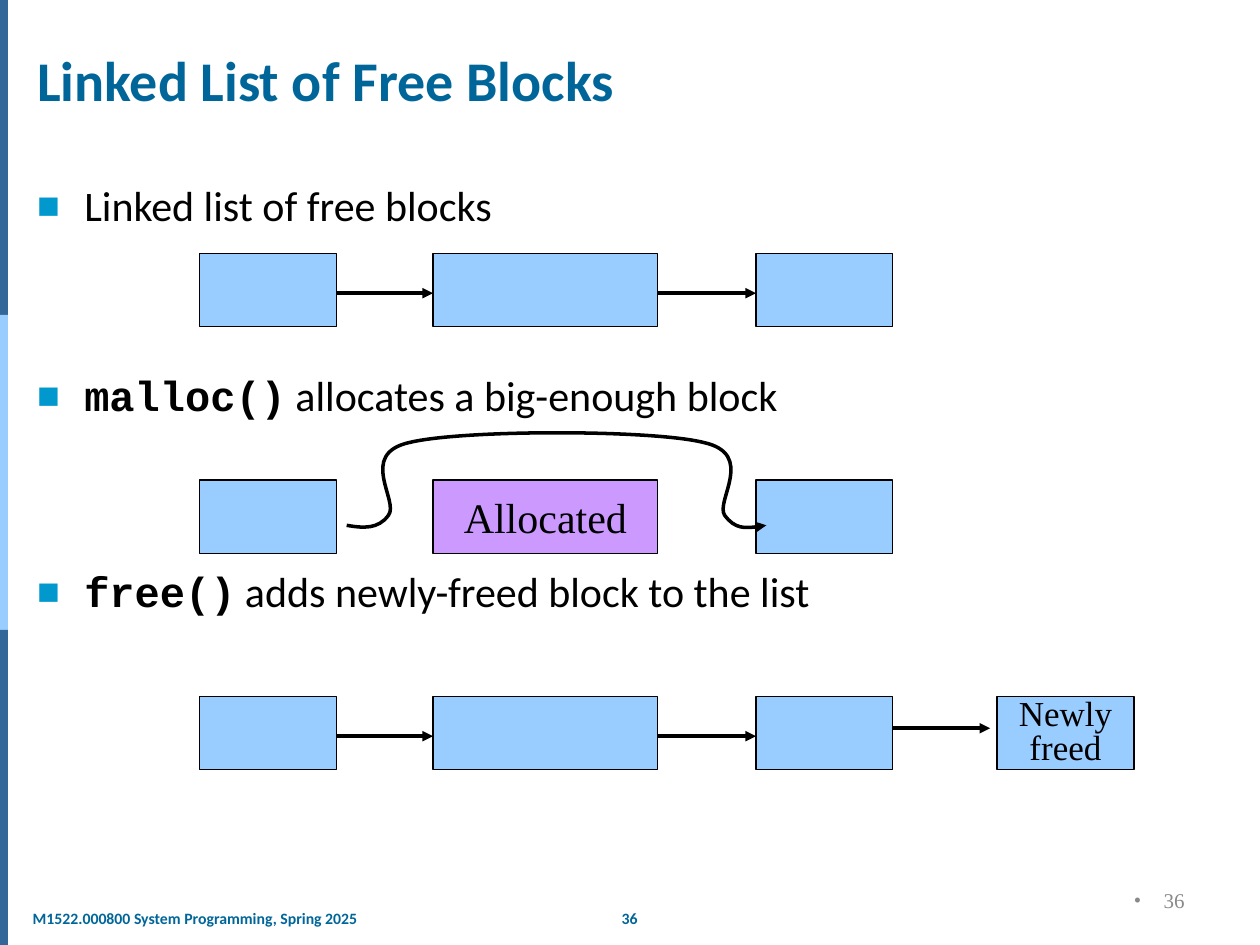
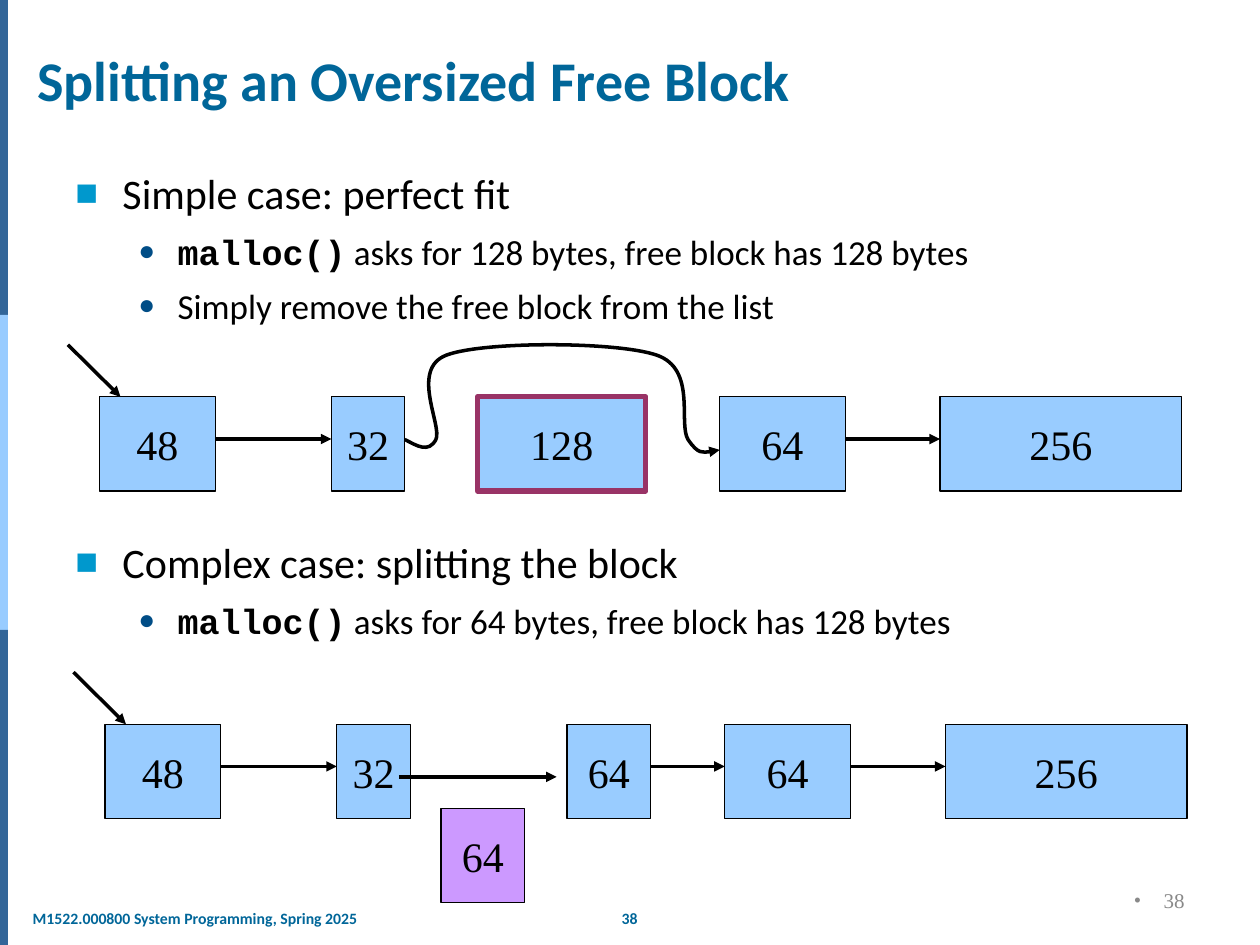
from dataclasses import dataclass

from lxml import etree
from pptx import Presentation
from pptx.dml.color import RGBColor
from pptx.enum.shapes import MSO_CONNECTOR, MSO_SHAPE
from pptx.enum.text import MSO_ANCHOR, PP_ALIGN
from pptx.oxml.ns import qn
from pptx.util import Cm, Pt

RECTANGLE = MSO_SHAPE.RECTANGLE
STRAIGHT = MSO_CONNECTOR.STRAIGHT
LEFT, CENTER, RIGHT = PP_ALIGN.LEFT, PP_ALIGN.CENTER, PP_ALIGN.RIGHT
TOP, MIDDLE, BOTTOM = MSO_ANCHOR.TOP, MSO_ANCHOR.MIDDLE, MSO_ANCHOR.BOTTOM

SANS, MONO, SERIF = "Calibri", "Courier New", "Times New Roman"
BLACK, TEAL, GRAY = "000000", "006699", "898989"
FREE, ALLOCATED, REMOVED = "99CCFF", "CC99FF", "993366"
BAND_COLORS = ("336699", FREE, "336699")
BAND_HEIGHT = 6.35
COURSE = "M1522.000800 System Programming, Spring 2025"


@dataclass
class BulletLevel:
    size: int
    margin: float
    hanging: float
    symbol: str
    color: str
    scale: int


LEVELS = (
    BulletLevel(24, 0.95, 0.95, "■", "0098CD", 90),
    BulletLevel(20, 2.06, 0.79, "●", "004D86", 80),
)


@dataclass
class Block:
    """A memory block; left is measured from the start of its chain."""
    left: float
    width: float
    text: str = ""
    fill: str = FREE
    line: str = BLACK
    line_width: float = 0.75

    @property
    def right(self):
        return self.left + self.width


def rgb(color):
    return RGBColor.from_string(color)


def format_run(run, font, size, color=BLACK, bold=False):
    run.font.name = font
    run.font.size = Pt(size)
    run.font.bold = bold
    run.font.color.rgb = rgb(color)


def set_bullet(paragraph, symbol, margin, hanging, color, scale=100, font="Arial"):
    properties = paragraph._p.get_or_add_pPr()
    properties.set("marL", str(Cm(margin)))
    properties.set("indent", str(-Cm(hanging)))
    bullet_color = etree.SubElement(properties, qn("a:buClr"))
    etree.SubElement(bullet_color, qn("a:srgbClr"), val=color)
    etree.SubElement(properties, qn("a:buSzPct"), val=str(scale * 1000))
    etree.SubElement(properties, qn("a:buFont"), typeface=font)
    etree.SubElement(properties, qn("a:buChar"), char=symbol)


def add_text(slide, box, text, font, size, color, bold=False,
             align=LEFT, anchor=TOP, wrap=True):
    shape = slide.shapes.add_textbox(*map(Cm, box))
    frame = shape.text_frame
    frame.word_wrap = wrap
    frame.vertical_anchor = anchor
    frame.text = text
    paragraph = frame.paragraphs[0]
    paragraph.alignment = align
    format_run(paragraph.runs[0], font, size, color, bold)
    return shape


def add_rectangle(slide, box, fill):
    shape = slide.shapes.add_shape(RECTANGLE, *map(Cm, box))
    shape.shadow.inherit = False
    shape.fill.solid()
    shape.fill.fore_color.rgb = rgb(fill)
    shape.line.fill.background()
    return shape


def add_bullets(slide, box, bullets):
    """Each bullet is (level, code words, plain words)."""
    frame = slide.shapes.add_textbox(*map(Cm, box)).text_frame
    frame.word_wrap = True
    for index, (depth, code, words) in enumerate(bullets):
        level = LEVELS[depth]
        paragraph = frame.add_paragraph() if index else frame.paragraphs[0]
        paragraph.space_before = Pt(7 if index else 0)
        set_bullet(paragraph, level.symbol, level.margin, level.hanging,
                   level.color, level.scale)
        for text, font in ((code, MONO), (words, SANS)):
            if text:
                run = paragraph.add_run()
                run.text = text
                format_run(run, font, level.size, bold=font == MONO)


def style_arrow(shape):
    shape.line.color.rgb = rgb(BLACK)
    shape.line.width = Pt(2)
    line = shape._element.spPr.find(qn("a:ln"))
    etree.SubElement(line, qn("a:tailEnd"), type="triangle")


def add_arrow(slide, start, end):
    connector = slide.shapes.add_connector(STRAIGHT, *map(Cm, start + end))
    style_arrow(connector)
    etree.SubElement(connector._element.spPr, qn("a:effectLst"))


def add_curved_arrow(slide, origin, points):
    """Draw cubic curves: a start point, then two controls and an end for each."""
    start, *others = [(Cm(origin[0] + x), Cm(origin[1] + y)) for x, y in points]
    builder = slide.shapes.build_freeform(*start)
    builder.add_line_segments(others, close=False)
    shape = builder.convert_to_shape()
    segments = list(shape._element.iter(qn("a:lnTo")))
    for first in range(0, len(segments), 3):
        curve = etree.Element(qn("a:cubicBezTo"))
        segments[first].addprevious(curve)
        for segment in segments[first:first + 3]:
            curve.append(segment[0])
            segment.getparent().remove(segment)
    shape.shadow.inherit = False
    shape.fill.background()
    style_arrow(shape)


def add_block(slide, origin, height, block, size=24):
    left, top = origin
    shape = add_rectangle(slide, (left + block.left, top, block.width, height), block.fill)
    shape.line.color.rgb = rgb(block.line)
    shape.line.width = Pt(block.line_width)
    frame = shape.text_frame
    frame.word_wrap = False
    frame.vertical_anchor = MIDDLE
    if block.text:
        frame.text = block.text
        for paragraph in frame.paragraphs:
            paragraph.alignment = CENTER
            if len(frame.paragraphs) > 1:
                paragraph.line_spacing = 0.8
            format_run(paragraph.runs[0], SERIF, size)


def add_chain(slide, origin, height, blocks, links, link_drop):
    """Draw blocks in a row, with arrows between the linked pairs of indices."""
    left, top = origin
    for block in blocks:
        add_block(slide, origin, height, block)
    for source, target in links:
        add_arrow(slide, (left + blocks[source].right, top + link_drop),
                  (left + blocks[target].left, top + link_drop))


def add_head_arrow(slide, origin):
    left, top = origin
    add_arrow(slide, (left - 0.64, top - 1.05), (left + 0.42, top))


def add_base_slide(presentation, title, number):
    slide = presentation.slides.add_slide(presentation.slide_layouts[6])
    for index, color in enumerate(BAND_COLORS):
        add_rectangle(slide, (0, index * BAND_HEIGHT, 0.16, BAND_HEIGHT), color)
    add_text(slide, (12.24, 18.19, 0.91, 0.64), number, SANS, 9, TEAL, True,
             align=CENTER, wrap=False)
    course = add_text(slide, (0.5, 18.19, 6.9, 0.64), COURSE, SANS, 9, TEAL, True,
                      wrap=False)
    course.text_frame.margin_left = course.text_frame.margin_right = Cm(0.16)
    add_text(slide, (0.5, 0.79, 24.5, 1.6), title, SANS, 32, TEAL, True, anchor=BOTTOM)
    corner = add_text(slide, (18.2, 17.65, 5.93, 1.01), number, SERIF, 12, GRAY,
                      align=RIGHT, anchor=MIDDLE)
    set_bullet(corner.text_frame.paragraphs[0], "•", 0.6, 0.6, GRAY, font=SERIF)
    return slide


def build_linked_list_slide(presentation):
    slide = add_base_slide(presentation, "Linked List of Free Blocks", "36")
    bullets = (
        (3.5, "", "Linked list of free blocks"),
        (7.33, "malloc()", " allocates a big-enough block"),
        (11.28, "free()", " adds newly-freed block to the list"),
    )
    for top, code, words in bullets:
        add_bullets(slide, (0.5, top, 24.5, 1.3), [(0, code, words)])

    left, height, link_drop = 4.02, 1.48, 0.8
    first, last = Block(0, 2.76), Block(11.22, 2.76)
    free_chain = [first, Block(4.71, 4.53), last]
    links = [(0, 1), (1, 2)]
    add_chain(slide, (left, 5.11), height, free_chain, links, link_drop)

    malloc_origin = (left, 9.68)
    malloc_chain = [first, Block(4.71, 4.53, "Allocated", ALLOCATED), last]
    add_chain(slide, malloc_origin, height, malloc_chain, [], link_drop)
    add_curved_arrow(slide, malloc_origin, [
        (2.97, 0.91),
        (3.3, 0.97), (3.61, 0.99), (3.81, 0.71),
        (4.04, 0.43), (3.18, -0.53), (4.24, -0.76),
        (5.31, -1.02), (9.12, -1.02), (10.16, -0.76),
        (11.23, -0.53), (10.39, 0.43), (10.59, 0.71),
        (10.8, 0.99), (11.13, 0.97), (11.43, 0.91),
    ])

    freed_origin = (left, 14.04)
    newly_freed = Block(16.08, 2.76, "Newly\nfreed")
    add_chain(slide, freed_origin, height, free_chain, links, link_drop)
    add_block(slide, freed_origin, height, newly_freed, size=20)
    arrow_top = freed_origin[1] + 0.64
    add_arrow(slide, (left + last.right, arrow_top),
              (left + newly_freed.left - 0.14, arrow_top))


def build_splitting_slide(presentation):
    slide = add_base_slide(presentation, "Splitting an Oversized Free Block", "38")
    add_bullets(slide, (1.27, 3.25, 22.86, 3.6), [
        (0, "", "Simple case: perfect fit"),
        (1, "malloc()", " asks for 128 bytes, free block has 128 bytes"),
        (1, "", "Simply remove the free block from the list"),
    ])
    add_bullets(slide, (1.27, 10.69, 22.86, 2.4), [
        (0, "", "Complex case: splitting the block"),
        (1, "malloc()", " asks for 64 bytes, free block has 128 bytes"),
    ])

    height, link_drop = 1.9, 0.85
    before = [Block(0, 2.33, "48"), Block(4.67, 1.48, "32")]
    after = [Block(12.49, 2.54, "64"), Block(16.94, 4.87, "256")]

    perfect_origin = (2.01, 8)
    perfect_fit = Block(7.62, 3.39, "128", line=REMOVED, line_width=3)
    add_chain(slide, perfect_origin, height, [*before, perfect_fit, *after],
              [(0, 1), (3, 4)], link_drop)
    add_head_arrow(slide, perfect_origin)
    add_curved_arrow(slide, perfect_origin, [
        (6.15, 0.86),
        (6.4, 0.99), (6.63, 1.14), (6.78, 0.86),
        (6.91, 0.58), (6.25, -0.56), (6.99, -0.84),
        (7.72, -1.12), (10.41, -1.12), (11.23, -0.84),
        (12.04, -0.56), (11.66, 0.53), (11.86, 0.86),
        (12.07, 1.17), (12.29, 1.12), (12.5, 1.07),
    ])

    split_origin = (2.12, 14.6)
    remainder = Block(9.31, 1.69, "64")
    add_chain(slide, split_origin, height, [*before, remainder, *after],
              [(0, 1), (2, 3), (3, 4)], link_drop)
    add_head_arrow(slide, split_origin)
    add_arrow(slide, (8.04, 15.66), (11.22, 15.66))
    add_block(slide, (8.89, 16.3), height, Block(0, 1.69, "64", ALLOCATED))


def main():
    presentation = Presentation()
    presentation.slide_width = Cm(25.4)
    presentation.slide_height = Cm(19.05)
    build_linked_list_slide(presentation)
    build_splitting_slide(presentation)
    presentation.save("out.pptx")


if __name__ == "__main__":
    main()
